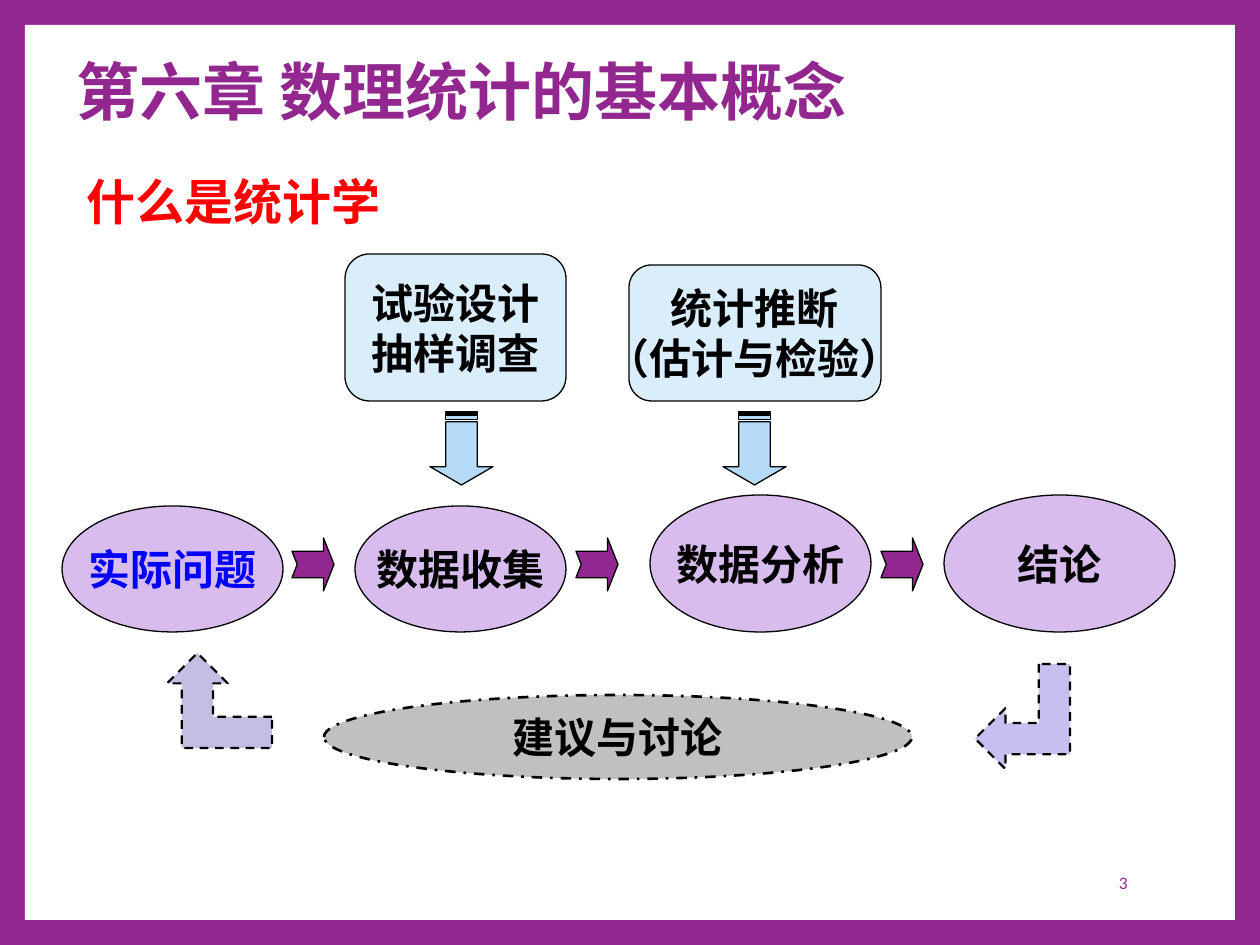
from pptx import Presentation
from pptx import util as u
from pptx.dml.color import RGBColor
from pptx.enum import dml, shapes, text

SCALE = 914400 / 126
PURPLE = "92278F"
BLACK = "000000"
LILAC = "D7BCED"
SERIF = "Times New Roman"
SHAPE = shapes.MSO_SHAPE
ALIGN = text.PP_ALIGN
ANCHOR = text.MSO_ANCHOR
DASH = dml.MSO_LINE


def px(*values):
    """Turn pixel lengths into EMU."""
    return [u.Emu(round(v * SCALE)) for v in values]


def rgb(value):
    """Turn a hex string into a colour."""
    return RGBColor.from_string(value)


def write(sp, lines, size, color=BLACK, font=SERIF, bold=True, align=ALIGN.CENTER,
          anchor=ANCHOR.MIDDLE, wrap=False, spacing=None):
    """Fill a shape with one paragraph per line."""
    tf = sp.text_frame
    tf.word_wrap = wrap
    tf.vertical_anchor = anchor
    tf.text = "\n".join(lines)
    for p in tf.paragraphs:
        p.alignment = align
        p.line_spacing = spacing
        p.font.size = u.Pt(size)
        p.font.name = font
        p.font.bold = bold
        p.font.color.rgb = rgb(color)


def add_label(s, box, line, size, **style):
    """Add a text box holding one line."""
    write(s.shapes.add_textbox(*px(*box)), [line], size, **style)


def add_block(s, kind, box, fill, width=0.75, dash=None, adjust=()):
    """Add a filled preset shape with a black outline."""
    sp = s.shapes.add_shape(kind, *px(*box))
    sp.shadow.inherit = False
    sp.fill.solid()
    sp.fill.fore_color.rgb = rgb(fill)
    sp.line.color.rgb = rgb(BLACK)
    sp.line.width = u.Pt(width)
    if dash:
        sp.line.dash_style = dash
    for i, value in enumerate(adjust):
        sp.adjustments[i] = value
    return sp


def add_frame(s, box):
    """Add the white page inside the purple border."""
    s.background.fill.solid()
    s.background.fill.fore_color.rgb = rgb(PURPLE)
    page = add_block(s, SHAPE.RECTANGLE, box, "FFFFFF")
    page.line.fill.background()


def add_headings(s, box):
    """Add the chapter title, the section heading and the page number."""
    x, y, w, h = box
    add_label(s, (x + 39, y + 30, 1042, 81), "第六章 数理统计的基本概念", 36, color=PURPLE,
              font="Calibri", align=ALIGN.LEFT, wrap=True, spacing=0.9)
    add_label(s, (x + 49, y + 140, 323, 72), "什么是统计学", 28, color="FF0000",
              align=ALIGN.LEFT, anchor=ANCHOR.TOP)
    add_label(s, (x + w - 271, y + h - 62, 176, 50), "3", 10, color=PURPLE,
              font="Calibri", bold=False, align=ALIGN.RIGHT, wrap=True)


def add_methods(s, box):
    """Add the method boxes and the striped arrows below them."""
    x, y, w, h = box
    methods = [(0, 221, 147, 80, ["试验设计", "抽样调查"]),
               (284, 252, 136, 373, ["统计推断", "（估计与检验）"])]
    for left, width, height, arrow, lines in methods:
        sp = add_block(s, SHAPE.ROUNDED_RECTANGLE,
                       (x + left, y + 147 - height, width, height), "DAEDFB")
        write(sp, lines, 24)
        down = add_block(s, SHAPE.STRIPED_RIGHT_ARROW,
                         (x + arrow, y + h - 68, 73, 63), "B5DBF8", adjust=(0.5, 0.29))
        down.rotation = 90


def add_steps(s, box):
    """Add the row of steps and the notched arrows between them."""
    x, y, w, h = box
    steps = [(0, 221, 126, "实际问题", "0000FF"), (293, 211, 126, "数据收集", BLACK),
             (588, 221, 137, "数据分析", BLACK), (882, 231, 137, "结论", BLACK)]
    for left, width, height, label, color in steps:
        sp = add_block(s, SHAPE.OVAL, (x + left, y + h - height, width, height), LILAC)
        write(sp, [label], 24, color=color)
    for left in (230, 514, 819):
        add_block(s, SHAPE.NOTCHED_RIGHT_ARROW, (x + left, y + 43, 42, 53), PURPLE,
                  adjust=(0.5, 0.25))


def add_feedback(s, box):
    """Add the discussion oval between the two bent return arrows."""
    x, y, w, h = box
    oval = add_block(s, SHAPE.OVAL, (x + 157, y + 42, 588, 84), "C0C0C0", 1.5, DASH.DASH_DOT)
    write(oval, ["建议与讨论"], 24)
    for left, top, fill, turn in ((w - 100, 16, "C8BEF0", 270), (0, 0, "C2BFE3", 0)):
        sp = add_block(s, SHAPE.BENT_UP_ARROW, (x + left, y + top, 105, 95), fill, 1.25,
                       DASH.DASH, adjust=(0.33, 0.32, 0.32))
        sp.rotation = turn
        sp._element.spPr.xfrm.set("flipH", "1")


def main():
    """Build and save the slide."""
    prs = Presentation()
    prs.slide_width, prs.slide_height = px(1260, 945)
    s = prs.slides.add_slide(prs.slide_layouts[6])
    page = (25, 25, 1210, 895)
    add_frame(s, page)
    add_headings(s, page)
    add_methods(s, (345, 254, 536, 231))
    add_steps(s, (62, 495, 1113, 137))
    add_feedback(s, (167, 653, 903, 126))
    prs.save("out.pptx")


if __name__ == "__main__":
    main()
